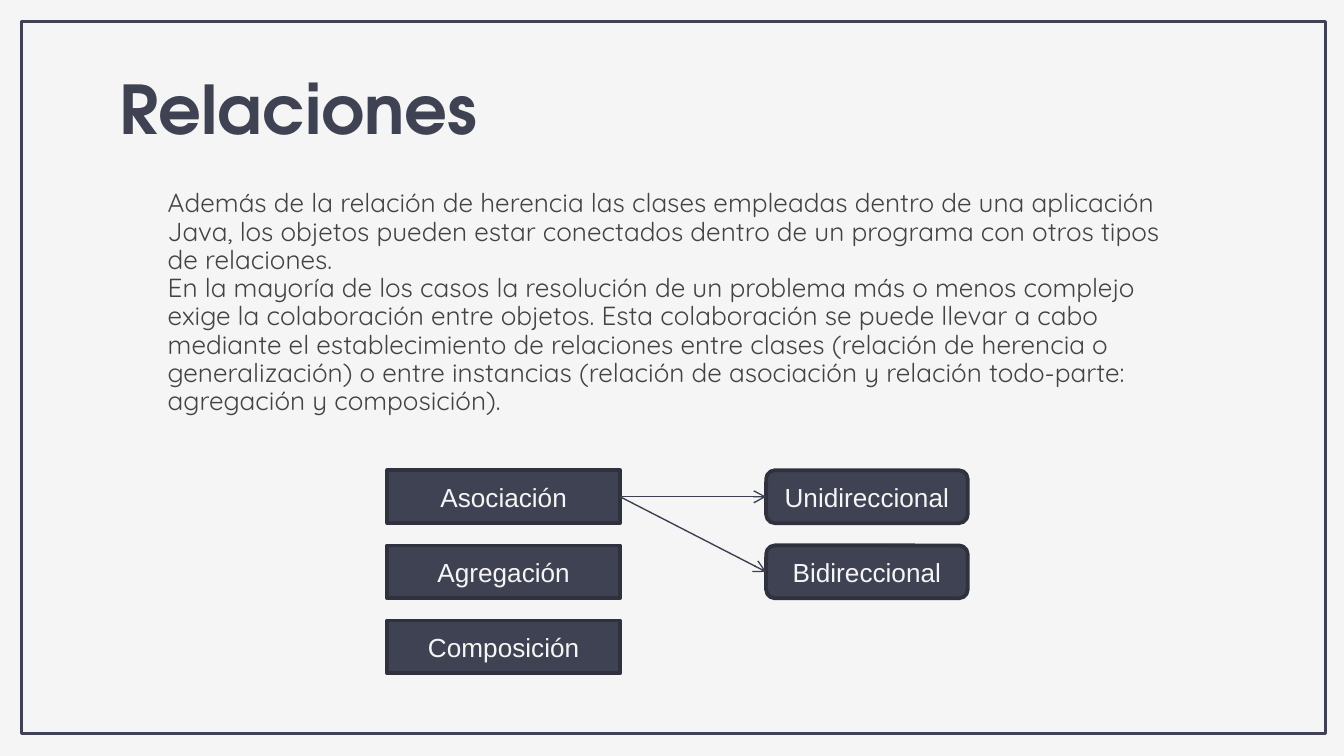
from dataclasses import dataclass

from lxml.etree import SubElement
from pptx import Presentation
from pptx.dml.color import RGBColor
from pptx.enum.shapes import MSO_CONNECTOR, MSO_SHAPE
from pptx.enum.text import MSO_ANCHOR, MSO_AUTO_SIZE, PP_ALIGN
from pptx.oxml.ns import qn
from pptx.util import Cm, Pt


@dataclass(frozen=True)
class Theme:
    """Colours, fonts and type sizes of the slide."""
    paper: RGBColor = RGBColor(0xF5, 0xF5, 0xF5)
    navy: RGBColor = RGBColor(0x3F, 0x42, 0x52)
    edge: RGBColor = RGBColor(0x2F, 0x31, 0x3D)
    arrow: RGBColor = RGBColor(0x3D, 0x40, 0x51)
    prose: RGBColor = RGBColor(0x43, 0x43, 0x43)
    title_font: str = "TeX Gyre Adventor"
    prose_font: str = "Quicksand"
    label_font: str = "Arial"
    title_size: Pt = Pt(36)
    text_size: Pt = Pt(14)


THEME = Theme()
INSET = Cm(0.25)
ROW_TOP, ROW_PITCH, ROW_HEIGHT = 8.89, 1.42, 1

EXPLANATION = (
    "Además de la relación de herencia las clases empleadas dentro de una "
    "aplicación Java, los objetos pueden estar conectados dentro de un programa "
    "con otros tipos de relaciones.",
    "En la mayoría de los casos la resolución de un problema más o menos complejo "
    "exige la colaboración entre objetos. Esta colaboración se puede llevar a cabo "
    "mediante el establecimiento de relaciones entre clases (relación de herencia o "
    "generalización) o entre instancias (relación de asociación y relación "
    "todo-parte: agregación y composición).",
)
RELATIONS = ("Asociación", "Agregación", "Composición")
DIRECTIONS = ("Unidireccional", "Bidireccional")


def add_run(paragraph, text, font, size, color, bold=False):
    """Append one formatted run to a paragraph."""
    run = paragraph.add_run()
    run.text = text
    run.font.name = font
    run.font.size = size
    run.font.bold = bold
    run.font.color.rgb = color


def prepare_frame(frame, anchor):
    """Set wrapping, insets and the anchor of a text frame."""
    frame.word_wrap = True
    frame.auto_size = MSO_AUTO_SIZE.NONE
    frame.vertical_anchor = anchor
    frame.margin_left = frame.margin_right = INSET
    frame.margin_top = frame.margin_bottom = INSET


def add_border(slide):
    """Draw the thin border around the slide."""
    border = slide.shapes.add_shape(
        MSO_SHAPE.RECTANGLE, Cm(0.41), Cm(0.41), Cm(24.64), Cm(13.46))
    border.shadow.inherit = False
    border.fill.background()
    border.line.color.rgb = THEME.navy
    border.line.width = Pt(1.5)


def set_title(slide, text):
    """Place and format the slide title."""
    title = slide.shapes.title
    title.left, title.top = Cm(2.01), Cm(1.02)
    title.width, title.height = Cm(21.41), Cm(1.6)
    prepare_frame(title.text_frame, MSO_ANCHOR.TOP)
    heading = title.text_frame.paragraphs[0]
    heading.alignment = PP_ALIGN.LEFT
    add_run(heading, text, THEME.title_font, THEME.title_size, THEME.navy, True)


def add_explanation(slide, passages):
    """Add the indented explanatory paragraphs."""
    body = slide.shapes.add_textbox(Cm(2.62), Cm(3.35), Cm(19.99), Cm(9.42))
    frame = body.text_frame
    prepare_frame(frame, MSO_ANCHOR.TOP)
    for index, passage in enumerate(passages):
        paragraph = frame.add_paragraph() if index else frame.paragraphs[0]
        paragraph.alignment = PP_ALIGN.LEFT
        paragraph.line_spacing = 0.9
        properties = paragraph._p.get_or_add_pPr()
        properties.set("marL", str(Cm(0.3)))
        properties.set("indent", "0")
        add_run(paragraph, passage, THEME.prose_font, THEME.text_size, THEME.prose)


def add_box_column(slide, labels, outline, left, width):
    """Stack labelled boxes on the shared rows and return them."""
    boxes = []
    for row, label in enumerate(labels):
        box = slide.shapes.add_shape(
            outline, Cm(left), Cm(ROW_TOP + row * ROW_PITCH), Cm(width), Cm(ROW_HEIGHT))
        box.shadow.inherit = False
        box.fill.solid()
        box.fill.fore_color.rgb = THEME.navy
        box.line.color.rgb = THEME.edge
        box.line.width = Pt(2)
        box.text_frame.vertical_anchor = MSO_ANCHOR.MIDDLE
        caption = box.text_frame.paragraphs[0]
        caption.alignment = PP_ALIGN.CENTER
        add_run(caption, label, THEME.label_font, THEME.text_size, THEME.paper)
        boxes.append(box)
    return boxes


def add_arrow(slide, source, target):
    """Join the right side of one box to the left side of another."""
    arrow = slide.shapes.add_connector(MSO_CONNECTOR.STRAIGHT, 0, 0, 0, 0)
    arrow.begin_connect(source, 3)
    arrow.end_connect(target, 1)
    arrow.line.color.rgb = THEME.arrow
    arrow.line.width = Pt(0.75)
    SubElement(arrow.line._get_or_add_ln(), qn("a:tailEnd"), type="arrow")
    SubElement(arrow._element.spPr, qn("a:effectLst"))


def main():
    """Build and save the slide about relations between classes."""
    presentation = Presentation()
    presentation.slide_width, presentation.slide_height = Cm(25.4), Cm(14.29)
    slide = presentation.slides.add_slide(presentation.slide_layouts[5])
    slide.background.fill.solid()
    slide.background.fill.fore_color.rgb = THEME.paper

    add_border(slide)
    set_title(slide, "Relaciones")
    add_explanation(slide, EXPLANATION)
    relations = add_box_column(slide, RELATIONS, MSO_SHAPE.RECTANGLE, 7.32, 4.4)
    directions = add_box_column(
        slide, DIRECTIONS, MSO_SHAPE.ROUNDED_RECTANGLE, 14.48, 3.81)
    for direction in directions:
        add_arrow(slide, relations[0], direction)

    presentation.save("out.pptx")


if __name__ == "__main__":
    main()
